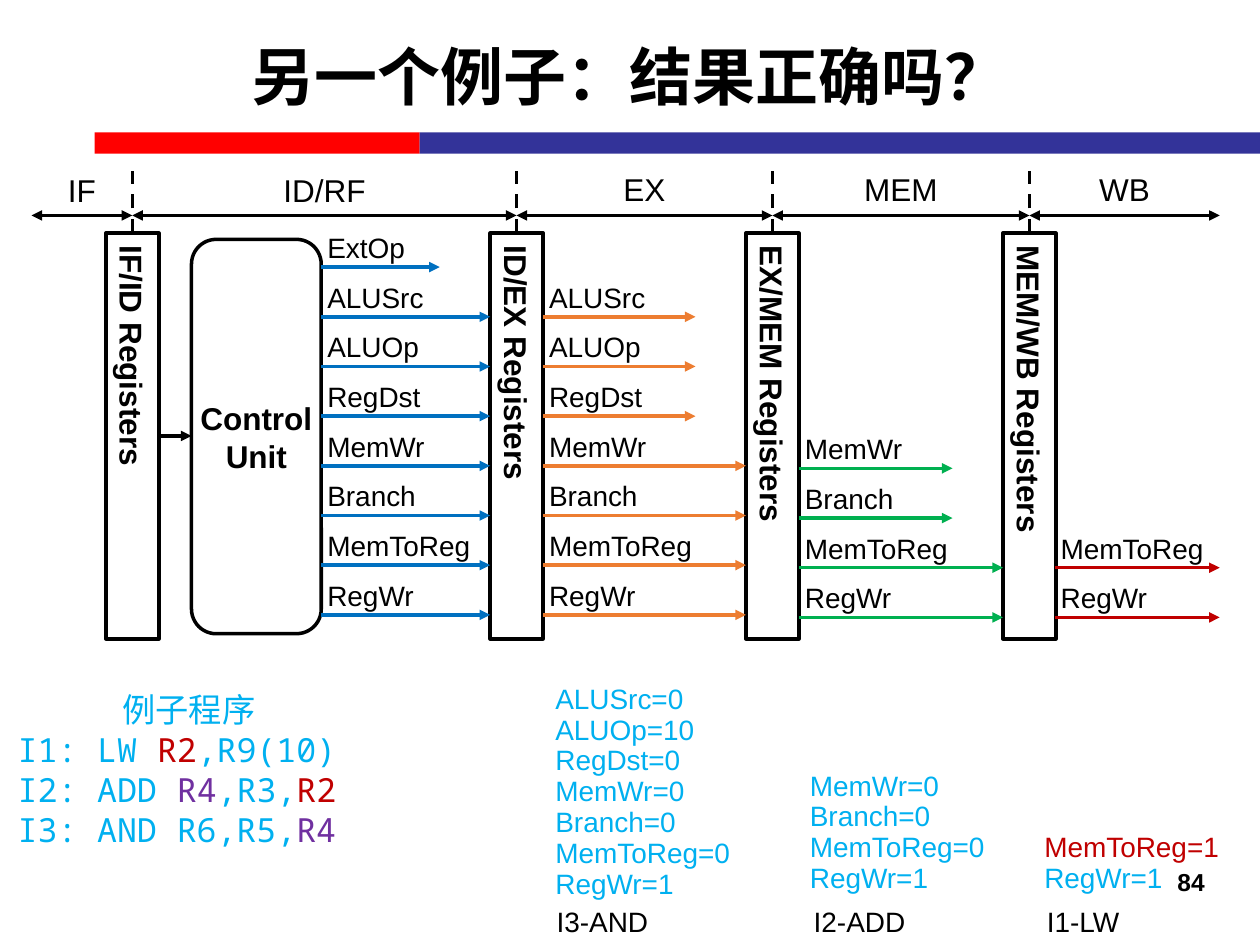
import pptx
import pptx.util
import pptx.dml.color
import pptx.enum.dml
import pptx.enum.shapes
import pptx.enum.text
import pptx.oxml
import pptx.oxml.ns

Inches = pptx.util.Inches
Pt = pptx.util.Pt
RGBColor = pptx.dml.color.RGBColor
Shape = pptx.enum.shapes.MSO_SHAPE
Align = pptx.enum.text.PP_ALIGN
Anchor = pptx.enum.text.MSO_ANCHOR

BLACK = RGBColor(0x00, 0x00, 0x00)
WHITE = RGBColor(0xFF, 0xFF, 0xFF)
RED = RGBColor(0xFF, 0x00, 0x00)
NAVY = RGBColor(0x33, 0x33, 0x99)
BLUE = RGBColor(0x00, 0x70, 0xC0)
ORANGE = RGBColor(0xED, 0x7D, 0x31)
GREEN = RGBColor(0x00, 0xB0, 0x50)
CRIMSON = RGBColor(0xC0, 0x00, 0x00)
SKY = RGBColor(0x00, 0xB0, 0xF0)
PURPLE = RGBColor(0x70, 0x30, 0xA0)

deck = pptx.Presentation()
deck.slide_width = Inches(10)
deck.slide_height = Inches(7.5)
page = deck.slides.add_slide(deck.slide_layouts[6])


def write(text, at, box=None, size=16, color=BLACK, bold=False, font="Arial",
          align=Align.LEFT, anchor=Anchor.TOP, spacing=None, inset=0.1):
    if box is None:
        box = page.shapes.add_textbox(*[Inches(value) for value in at])
    frame = box.text_frame
    frame.word_wrap = True
    frame.vertical_anchor = anchor
    frame.margin_left = frame.margin_right = Inches(inset)
    frame.margin_top = frame.margin_bottom = Inches(inset / 2)
    lines = text if isinstance(text, list) else [text]
    for index, line in enumerate(lines):
        para = frame.paragraphs[0] if index == 0 else frame.add_paragraph()
        para.alignment = align
        if spacing:
            para.line_spacing = Pt(spacing)
        for part in line if isinstance(line, list) else [(line, color)]:
            span = para.add_run()
            span.text = part[0]
            span.font.name = font
            span.font.size = Pt(size)
            span.font.bold = bold
            span.font.color.rgb = part[1]
    return box


def draw_line(start, end, color=BLACK, ends=("tailEnd",), dashed=False):
    line = page.shapes.add_connector(
        pptx.enum.shapes.MSO_CONNECTOR.STRAIGHT,
        *[Inches(value) for value in start + end])
    line.line.color.rgb = color
    line.line.width = Pt(2)
    if dashed:
        line.line.dash_style = pptx.enum.dml.MSO_LINE.DASH
    outline = line.line._get_or_add_ln()
    for name in ends:
        arrow = pptx.oxml.parse_xml(
            f'<a:{name} {pptx.oxml.ns.nsdecls("a")} type="triangle"/>')
        outline.append(arrow)
    line.element.spPr.append(pptx.oxml.parse_xml(
        f'<a:effectLst {pptx.oxml.ns.nsdecls("a")}/>'))


for left, width, color in [(0.75, 2.58, RED), (3.33, 6.67, NAVY)]:
    bar = page.shapes.add_shape(Shape.RECTANGLE, Inches(left), Inches(1.05),
                                Inches(width), Inches(0.17))
    bar.shadow.inherit = False
    bar.fill.solid()
    bar.fill.fore_color.rgb = color
    bar.line.fill.background()

write("另一个例子：结果正确吗？", (0.5, 0.15, 9, 0.9), size=36, bold=True,
      align=Align.CENTER, anchor=Anchor.MIDDLE)

blocks = [("IF/ID Registers", 0.84), ("ID/EX Registers", 3.89),
          ("EX/MEM Registers", 5.92), ("MEM/WB Registers", 7.96)]
for name, left in blocks:
    register = page.shapes.add_shape(Shape.RECTANGLE, Inches(left), Inches(1.85),
                                     Inches(0.42), Inches(3.22))
    register.shadow.inherit = False
    register.fill.background()
    register.line.color.rgb = BLACK
    register.line.width = Pt(2)
    write(name, None, box=register, size=18, bold=True, anchor=Anchor.MIDDLE)
    register.element.txBody.bodyPr.set("vert", "eaVert")
    draw_line((left + 0.21, 1.85), (left + 0.21, 1.36), ends=(), dashed=True)

control = page.shapes.add_shape(Shape.ROUNDED_RECTANGLE, Inches(1.52), Inches(1.9),
                                Inches(1.03), Inches(3.13))
control.adjustments[0] = 0.19
control.shadow.inherit = False
control.fill.background()
control.line.color.rgb = BLACK
control.line.width = Pt(2)
write(["Control", "Unit"], None, box=control, size=18, bold=True, inset=0,
      align=Align.CENTER, anchor=Anchor.MIDDLE)
draw_line((1.26, 3.46), (1.52, 3.46))

stages = [("IF", 0.25, 1.05, 1.31), ("ID/RF", 1.05, 4.1, 1.31),
          ("EX", 4.1, 6.13, 1.3), ("MEM", 6.13, 8.17, 1.3),
          ("WB", 8.17, 9.68, 1.3)]
for name, left, right, top in stages:
    draw_line((left, 1.71), (right, 1.71), ends=("headEnd", "tailEnd"))
    write(name, (left, top, right - left, 0.4), size=18, align=Align.CENTER)

signals = ["ExtOp", "ALUSrc", "ALUOp", "RegDst",
           "MemWr", "Branch", "MemToReg", "RegWr"]
groups = [(0, 1, 2.55, 3.49, 3.89, 2.12, BLUE),
          (1, 3, 4.31, 5.52, 5.92, 2.12, ORANGE),
          (4, 2, 6.34, 7.56, 7.96, 2.14, GREEN),
          (6, 0, 8.37, 9.68, 9.68, 2.14, CRIMSON)]
for first, used, left, short_end, long_end, top, color in groups:
    for row in range(first, len(signals)):
        y = top + row * 2.76 / 7
        end = short_end if row < first + used else long_end
        write(signals[row], (left - 0.05, y - 0.34, 1.5, 0.37))
        draw_line((left, y), (end, y), color=color)

program = [[("I1: LW ", SKY), ("R2", CRIMSON), (",R9(10)", SKY)],
           [("I2: ADD ", SKY), ("R4", PURPLE), (",R3,", SKY), ("R2", CRIMSON)],
           [("I3: AND R6,R5,", SKY), ("R4", PURPLE)]]
code = write(["例子程序"] + program, (0.14, 5.47, 2.72, 1.38), size=19, color=SKY,
             font="Noto Sans Mono", spacing=22.9, inset=0)
code.text_frame.paragraphs[0].alignment = Align.CENTER
code.fill.solid()
code.fill.fore_color.rgb = WHITE

values = ["ALUSrc=0", "ALUOp=10", "RegDst=0", "MemWr=0",
          "Branch=0", "MemToReg=0", "RegWr=1"]
write(values, (4.31, 5.38, 1.86, 1.85), color=SKY, spacing=17.6)
write(values[3:], (6.33, 6.07, 1.87, 1.1), color=SKY, spacing=17.6)
write([[("MemToReg=1", CRIMSON)], "RegWr=1"], (8.19, 6.56, 1.64, 0.6),
      color=SKY, spacing=17.6)

for name, left in [("I3-AND", 4.32), ("I2-ADD", 6.36), ("I1-LW", 8.21)]:
    write(name, (left, 7.13, 0.94, 0.37))
write("84", (7.33, 6.83, 2.33, 0.52), size=14, bold=True, align=Align.RIGHT)

deck.save("out.pptx")
